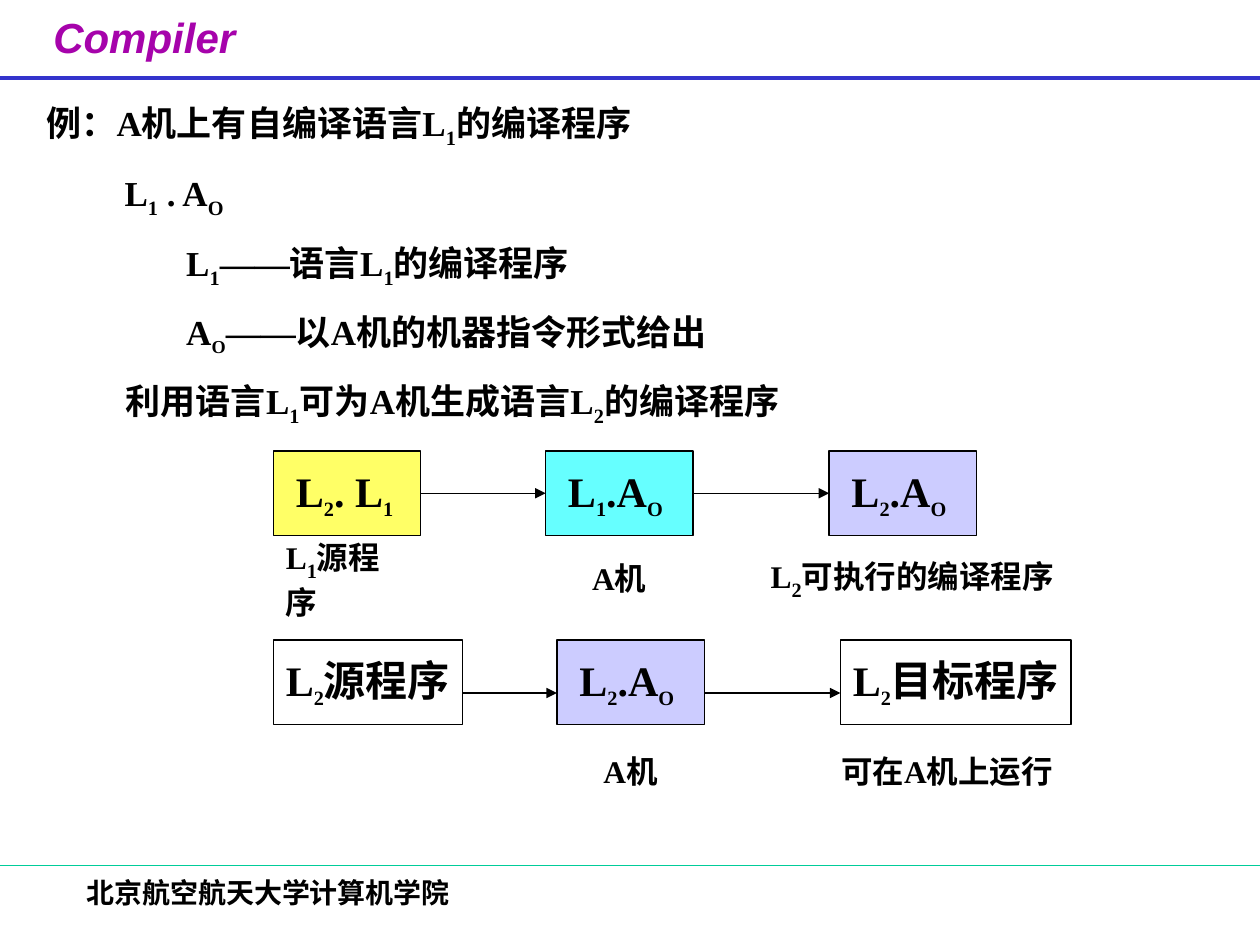
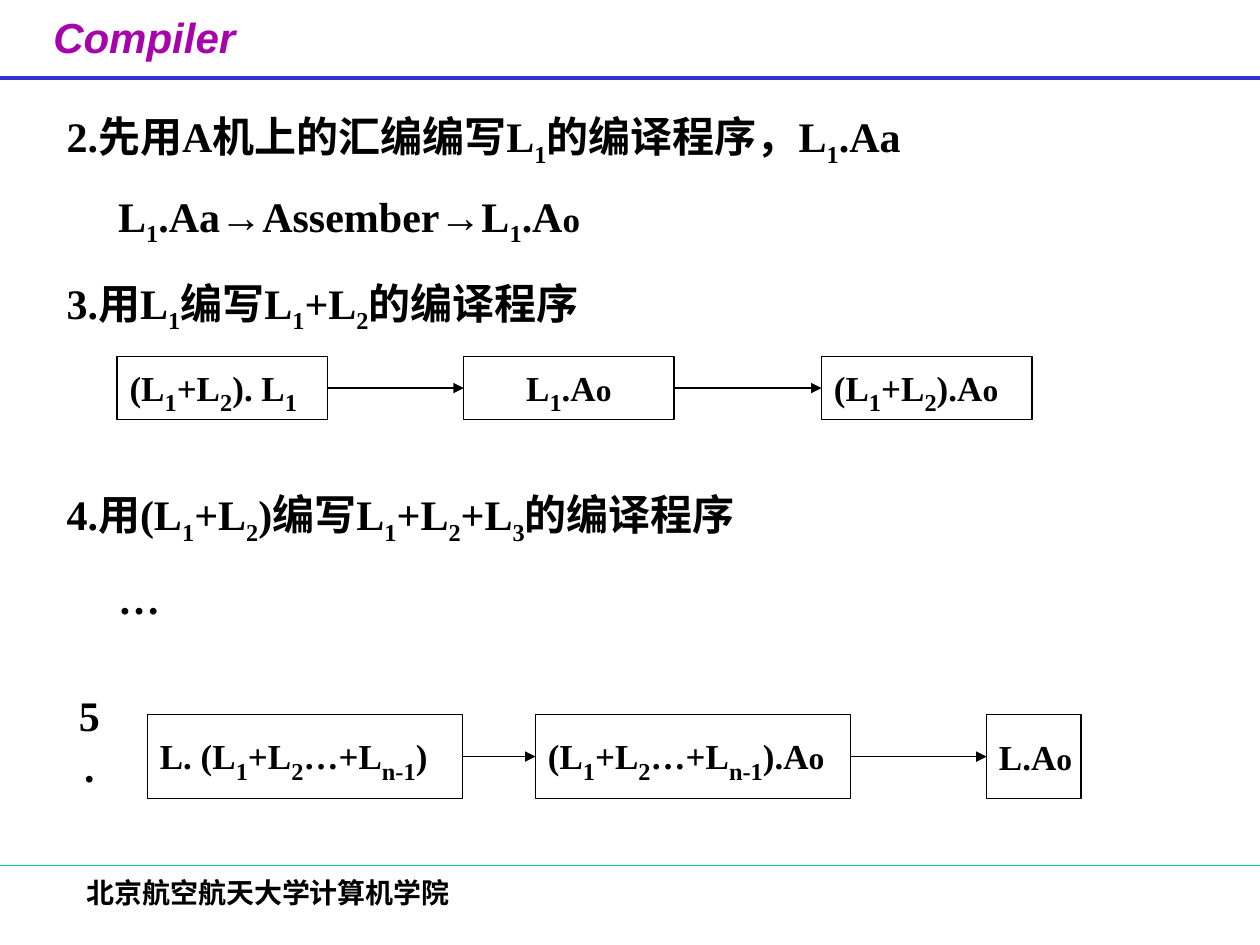
"""Build two slides on bootstrapping a compiler."""
from dataclasses import dataclass

from lxml.etree import SubElement
from pptx import Presentation
from pptx.dml.color import RGBColor
from pptx.enum.shapes import MSO_CONNECTOR as Link, MSO_SHAPE as Kind
from pptx.enum.text import MSO_ANCHOR as Anchor, PP_ALIGN as Align
from pptx.oxml.ns import qn
from pptx.util import Inches, Pt


@dataclass(frozen=True)
class Theme:
    ink: str = "000000"
    title: str = "A603AB"
    band: str = "3333CC"
    rule: str = "00CC99"
    source: str = "FFFF66"
    tool: str = "66FFFF"
    result: str = "CCCCFF"
    head: str = "Arial"
    body: str = "Times New Roman"
    big: int = 24
    text: int = 20
    label: int = 18
    foot: int = 16
    thin: float = 0.75
    thick: float = 2.25


THEME = Theme()


def write(frame, text, size=THEME.text, sub=None, small=None, face=THEME.body,
          color=THEME.ink, italic=False, align=Align.LEFT, before=0, indent=0):
    para = frame.paragraphs[0]
    if para.runs:
        para = frame.add_paragraph()
    para.alignment = align
    para.space_before = Pt(before)
    props = para._p.get_or_add_pPr()
    props.set("marL", str(Inches(indent)))
    props.set("indent", "0")
    for index, part in enumerate(text.split("|")):
        if not part:
            continue
        run = para.add_run()
        run.text = part.lstrip("~")
        font = run.font
        font.name, font.bold, font.italic = face, True, italic
        font.color.rgb = RGBColor.from_string(color)
        font.size = Pt(size)
        if part.startswith("~"):
            font.size = Pt(small or size)
        elif index % 2:
            font.size = Pt(sub or size)
            run._r.get_or_add_rPr().set("baseline", "-25000")


class Deck:
    def __init__(self, theme):
        self.theme = theme
        self.file = Presentation()
        self.file.slide_width, self.file.slide_height = Inches(10), Inches(7.5)
        self.slide = None

    def page(self):
        look = self.theme
        self.slide = self.file.slides.add_slide(self.file.slide_layouts[6])
        self.text(0.19, 0.04, 1.91, 0.62, "Compiler", wrap=False, size=look.big,
                  face=look.head, color=look.title, italic=True, align=Align.CENTER)
        self.line(0, 0.62, 10, color=look.band, width=look.thick)
        self.text(0.59, 6.9, 5.65, 0.5, "北京航空航天大学计算机学院",
                  size=look.foot, before=10)
        self.line(0, 6.87, 10, color=look.rule)

    def text(self, left, top, width, height, text=None, wrap=True,
             anchor=Anchor.TOP, **style):
        box = self.slide.shapes.add_textbox(*map(Inches, (left, top, width, height)))
        frame = box.text_frame
        frame.word_wrap, frame.vertical_anchor = wrap, anchor
        if text:
            write(frame, text, **style)
        return frame

    def label(self, left, top, width, text, height=0.33, **style):
        style = {"size": self.theme.label, "sub": self.theme.text,
                 "align": Align.CENTER} | style
        self.text(left, top, width, height, text, wrap=False,
                  anchor=Anchor.MIDDLE, **style)

    def box(self, left, top, width, height, text, fill=None, **style):
        shape = self.slide.shapes.add_shape(
            Kind.RECTANGLE, *map(Inches, (left, top, width, height)))
        shape.shadow.inherit = False
        if fill:
            shape.fill.solid()
            shape.fill.fore_color.rgb = RGBColor.from_string(fill)
        else:
            shape.fill.background()
        shape.line.color.rgb = RGBColor.from_string(self.theme.ink)
        shape.line.width = Pt(self.theme.thin)
        frame = shape.text_frame
        frame.word_wrap, frame.vertical_anchor = False, Anchor.MIDDLE
        write(frame, text, **style)

    def line(self, start, top, end, color=THEME.ink, width=THEME.thin, arrow=False):
        link = self.slide.shapes.add_connector(
            Link.STRAIGHT, *map(Inches, (start, top, end, top)))
        link.line.color.rgb = RGBColor.from_string(color)
        link.line.width = Pt(width)
        if arrow:
            SubElement(link.line._get_or_add_ln(), qn("a:tailEnd"), type="triangle")
        SubElement(link._element.spPr, qn("a:effectLst"))

    def flow(self, top, height, steps, level=None, **style):
        for left, width, text, extra in steps:
            self.box(left, top, width, height, text, **(style | extra))
        for (left, width, *_), (end, *_) in zip(steps, steps[1:]):
            self.line(left + width, level or top + height / 2, end, arrow=True)


def sample(deck):
    look = deck.theme
    deck.page()
    frame = deck.text(0.27, 0.76, 7.56, 2.68)
    for text, indent, sub in (
            ("例：A机上有自编译语言L|1|的编译程序", 0, look.text),
            ("L|1| . A|O", 0.62, look.text),
            ("L|1|——语言L|1|的编译程序", 1.11, look.text),
            ("A|O|——以A机的机器指令形式给出", 1.11, look.label),
            ("利用语言L|1|可为A机生成语言L|2|的编译程序", 0.63, look.text)):
        write(frame, text, sub=sub, indent=indent, before=12.5)

    style = {"size": look.big, "sub": look.text}
    deck.flow(3.58, 0.67, [
        (2.17, 1.17, "L|2|. L|1", {"fill": look.source, "indent": 0.08}),
        (4.33, 1.17, "L|1|.A|O", {"fill": look.tool, "indent": 0.08}),
        (6.58, 1.17, "L|2|.A|O", {"fill": look.result, "indent": 0.08})], **style)
    deck.label(2.17, 4.42, 1.17, "L|1|源程序", align=Align.LEFT)
    deck.label(4.33, 4.42, 1.17, "A机")
    deck.label(5.94, 4.42, 2.6, "L|2|可执行的编译程序")

    deck.flow(5.08, 0.67, [
        (2.17, 1.5, "L|2|源程序", {}),
        (4.42, 1.17, "L|2|.A|O", {"fill": look.result, "indent": 0.08}),
        (6.67, 1.83, "L|2|目标程序", {})], level=5.5, **style)
    deck.label(4.42, 5.95, 1.17, "A机")
    deck.label(6.57, 5.95, 1.89, "可在A机上运行")


def steps(deck):
    look = deck.theme
    deck.page()
    head = {"size": look.big, "before": 15}
    frame = deck.text(0.43, 0.83, 8.58, 1.19,
                      "2.先用A机上的汇编编写L|1|的编译程序，L|1|.Aa", **head)
    write(frame, "L|1|.Aa→Assember→L|1|.A|~o", size=look.big, small=look.text,
          before=12.5, indent=0.41)
    deck.text(0.43, 2.15, 8.58, 0.6, "3.用L|1|编写L|1|+L|2|的编译程序", **head)

    style = {"size": look.text, "sub": look.big, "small": look.label}
    deck.flow(2.83, 0.5, [
        (0.93, 1.67, "(L|1|+L|2|). L|1", {}),
        (3.68, 1.67, "L|1|.A|~o", {"align": Align.CENTER}),
        (6.52, 1.67, "(L|1|+L|2|).A|~o", {})], **style)

    frame = deck.text(0.43, 3.83, 9, 1.17,
                      "4.用(L|1|+L|2|)编写L|1|+L|2|+L|3|的编译程序", **head)
    write(frame, "…", indent=0.41, **head)

    deck.label(0.5, 5.5, 0.42, "5.", height=0.75, size=look.big)
    deck.flow(5.67, 0.67, [
        (1.17, 2.5, "L. (L|1|+L|2|…+L|n-1|)", {}),
        (4.25, 2.5, "(L|1|+L|2|…+L|n-1|).A|~o", {}),
        (7.83, 0.75, "L.A|~o", {})], **style)


def main():
    deck = Deck(THEME)
    sample(deck)
    steps(deck)
    deck.file.save("out.pptx")


if __name__ == "__main__":
    main()
